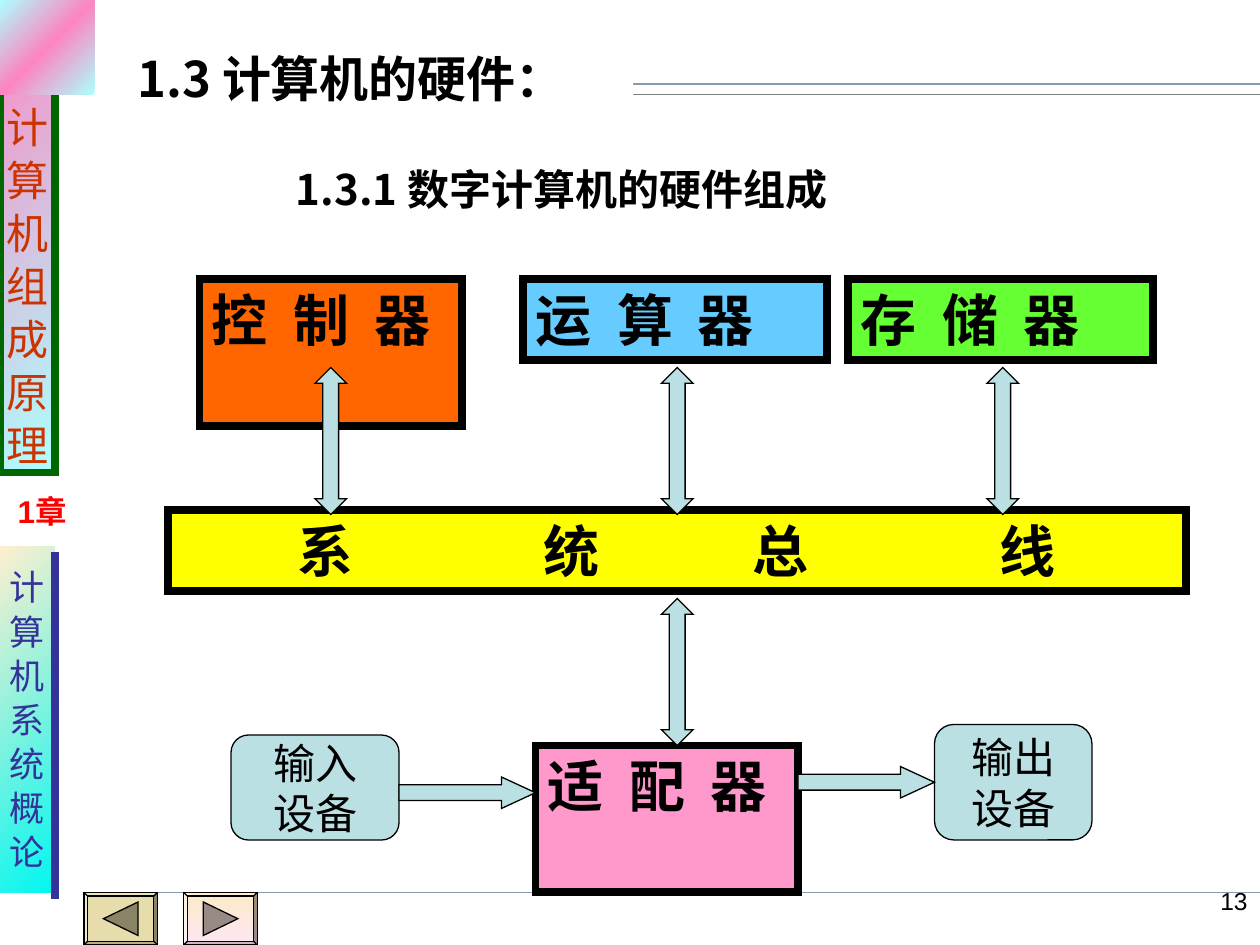
from lxml import etree
from pptx import Presentation, util as u
from pptx.dml.color import RGBColor
from pptx.enum import shapes, text
from pptx.oxml.ns import qn

KIND = shapes.MSO_SHAPE
ALIGN = text.PP_ALIGN
ANCHOR = text.MSO_ANCHOR
COLUMNS = 120  # the slide is a grid of 120 x 90 square cells
WIDTH, HEIGHT = u.Inches(10), u.Inches(7.5)

COLORS = {
    "black": "000000", "white": "FFFFFF", "slate": "8799AE", "gray": "808080",
    "green": "006600", "rust": "CC3300", "navy": "333399", "red": "FF0000",
    "pink": "FD85C1", "ice": "ADFFFF", "cream": "FFEFCF", "aqua": "00F6F0",
    "sand": "E6DCAC", "peach": "FBEAC7", "blush": "FEE7F2", "teal": "BBE0E3",
    "orange": "FF6600", "sky": "66CCFF", "lime": "66FF33", "rose": "FF99CC",
    "yellow": "FFFF00", "olive": "8A8467", "taupe": "988B85",
}
SANS, SERIF, CJK = "Arial", "Times New Roman", "Noto Sans CJK SC"

# Places are (column, row, columns wide, rows high)
RULES = [((12, 8), (120, 8), "slate", 0.75), ((12, 9), (120, 9), "gray", 0.75),
         ((8, 85), (120, 85), "slate", 0.75)]
CHAPTER_EDGE = ((5.2, 52.6), (5.2, 85.6), "navy", 4.5)
COURSE, COURSE_PLACE = "计算机组成原理", (0, 0, 5.2, 45)
CHAPTER, CHAPTER_PLACE = "计算机系统概论", (0, 52, 5.2, 33)
CORNER_PLACE = (0, 0, 9, 9)
BUTTONS = [  # column, fill, arrow fill, columns to the arrow's tip and base
    (8, "sand", "olive", 1.85, 5.15),
    (17.5, ("peach", "blush"), "taupe", 5.15, 1.85),
]
LABELS = [  # words, place, fill, size, font, colour, bold, alignment, anchor, side margin
    ("1章", (0, 46.3, 8, 4.8), None, 18, SANS, "red", True, ALIGN.CENTER, ANCHOR.TOP, 0),
    ("13", (108, 83.8, 12, 6.2), None, 14, SANS, "black", False, ALIGN.RIGHT, ANCHOR.TOP, 0.1),
    ("1.3 计算机的硬件：", (10.8, 3.4, 49.5, 8), "white", 28, CJK, "black", True,
     ALIGN.LEFT, ANCHOR.MIDDLE, 0.19),
    ("1.3.1 数字计算机的硬件组成", (27, 14, 58, 8), None, 24, CJK, "black", True,
     ALIGN.LEFT, ANCHOR.MIDDLE, 0.1),
]
EVEN_TABS = (0.65, 1.29)
MODULES = [  # characters, place, fill, tab stops in inches
    ("存储器", (80.8, 26.6, 29, 7.7), "lime", EVEN_TABS),
    ("控制器", (19, 26.6, 25, 14), "orange", EVEN_TABS),
    ("运算器", (49.8, 26.6, 29, 7.7), "sky", EVEN_TABS),
    ("适配器", (51, 71, 25, 14), "rose", EVEN_TABS),
    ("系统总线", (16, 48.6, 97, 7.7), "yellow", (0.93, 2.88, 4.54, 6.5)),
]
DEVICES = [(("输入", "设备"), (22, 70, 16, 10)), (("输出", "设备"), (89, 69, 15, 11))]
BUS_LINKS = [(30, 35), (63, 35), (94, 35), (63, 57)]
DEVICE_LINKS = [(38, 74), (76, 73)]


def grid(*cells):
    return [round(cell * WIDTH / COLUMNS) for cell in cells]


def rgb(name):
    return RGBColor.from_string(COLORS[name])


def paint(shape, fill, angle=45):
    """Fill with one colour, or with evenly spaced gradient stops."""
    if isinstance(fill, str):
        shape.fill.solid()
        shape.fill.fore_color.rgb = rgb(fill)
        return
    shape.fill.gradient()
    shape.fill.gradient_angle = 360 - angle
    stops = shape._element.spPr.find(".//" + qn("a:gsLst"))
    for stop in list(stops):
        stops.remove(stop)
    for i, name in enumerate(fill):
        stop = etree.SubElement(stops, qn("a:gs"), pos=str(100000 * i // (len(fill) - 1)))
        etree.SubElement(stop, qn("a:srgbClr"), val=COLORS[name])


def style(shape, fill, line=None, weight=0.75, angle=45):
    """Set fill and a sharp-cornered outline, without shadow."""
    shape.shadow.inherit = False
    paint(shape, fill, angle)
    if line:
        shape.line.color.rgb = rgb(line)
        shape.line.width = u.Pt(weight)
        etree.SubElement(shape._element.spPr.find(qn("a:ln")), qn("a:miter"), lim="800000")
    else:
        shape.line.fill.background()


def add_block(slide, kind, place, *look, **more):
    block = slide.shapes.add_shape(kind, *grid(*place))
    style(block, *look, **more)
    return block


def add_rule(slide, start, end, color, weight):
    rule = slide.shapes.add_connector(shapes.MSO_CONNECTOR.STRAIGHT, *grid(*start, *end))
    rule.line.color.rgb = rgb(color)
    rule.line.width = u.Pt(weight)
    etree.SubElement(rule._element.spPr, qn("a:effectLst"))


def add_button(slide, column, fill, arrow_fill, tip, base):
    button = add_block(slide, KIND.BEVEL, (column, 85, 7, 5), fill, "black", angle=90)
    button.adjustments[0] = 0.07
    outline = slide.shapes.build_freeform(*grid(column + tip, 87.5))
    outline.add_line_segments([grid(column + base, row) for row in (85.9, 89.1)])
    style(outline.convert_to_shape(), arrow_fill, "black")


def write(shape, lines, size, font, color="black", bold=False, align=ALIGN.LEFT,
          anchor=ANCHOR.MIDDLE, side=0.1, gap=0, tabs=()):
    frame = shape.text_frame
    frame.word_wrap = True
    frame.vertical_anchor = anchor
    frame.margin_left = frame.margin_right = u.Inches(side)
    for i, words in enumerate(lines):
        line = frame.add_paragraph() if i else frame.paragraphs[0]
        if tabs:
            stops = etree.SubElement(line._p.get_or_add_pPr(), qn("a:tabLst"))
            for tab in tabs:
                etree.SubElement(stops, qn("a:tab"), pos=str(u.Inches(tab)), algn="l")
        line.alignment = align
        if i and gap:
            line.space_before = u.Pt(gap)
        run = line.add_run()
        run.text = words
        run.font.size, run.font.name, run.font.bold = u.Pt(size), font, bold
        run.font.color.rgb = rgb(color)
        if font == CJK:
            etree.SubElement(run._r.get_or_add_rPr(), qn("a:ea"), typeface=CJK)


def add_frame(slide):
    for rule in RULES:
        add_rule(slide, *rule)
    course = add_block(slide, KIND.RECTANGLE, COURSE_PLACE, ("pink", "ice"), "green", 4.5)
    write(course, COURSE, 24, SANS, "rust", align=ALIGN.CENTER,
          anchor=ANCHOR.BOTTOM, side=0, gap=1.5)
    course.text_frame.margin_bottom = u.Inches(0.02)
    chapter = add_block(slide, KIND.RECTANGLE, CHAPTER_PLACE, ("cream", "aqua"))
    write(chapter, CHAPTER, 20, SANS, "navy", align=ALIGN.CENTER, side=0, gap=1.2)
    for button in BUTTONS:
        add_button(slide, *button)
    add_block(slide, KIND.RECTANGLE, CORNER_PLACE, ("ice", "pink", "ice"))
    add_rule(slide, *CHAPTER_EDGE)


def add_diagram(slide):
    for characters, place, fill, tabs in MODULES:
        module = add_block(slide, KIND.RECTANGLE, place, fill, "black", 4.5)
        lead = "\t" if len(tabs) == len(characters) else ""
        write(module, [lead + "\t".join(characters)], 32, SERIF, bold=True,
              anchor=ANCHOR.TOP, tabs=tabs)
    for lines, place in DEVICES:
        device = add_block(slide, KIND.ROUNDED_RECTANGLE, place, "teal", "black")
        write(device, lines, 24, SERIF, align=ALIGN.CENTER)
    # The two arrow kinds list head length and shaft width in opposite order
    links = [(KIND.UP_DOWN_ARROW, (*spot, 3, 14), (0.93, 0.5)) for spot in BUS_LINKS]
    links += [(KIND.RIGHT_ARROW, (*spot, 13, 3), (0.5, 1.08)) for spot in DEVICE_LINKS]
    for kind, place, proportions in links:
        arrow = add_block(slide, kind, place, "teal", "black")
        for i, share in enumerate(proportions):
            arrow.adjustments[i] = share


def main():
    deck = Presentation()
    deck.slide_width, deck.slide_height = WIDTH, HEIGHT
    slide = deck.slides.add_slide(deck.slide_layouts[6])
    add_frame(slide)
    add_diagram(slide)
    for words, place, fill, *look in LABELS:
        label = slide.shapes.add_textbox(*grid(*place))
        if fill:
            paint(label, fill)
        write(label, [words], *look)
    deck.save("out.pptx")


if __name__ == "__main__":
    main()
